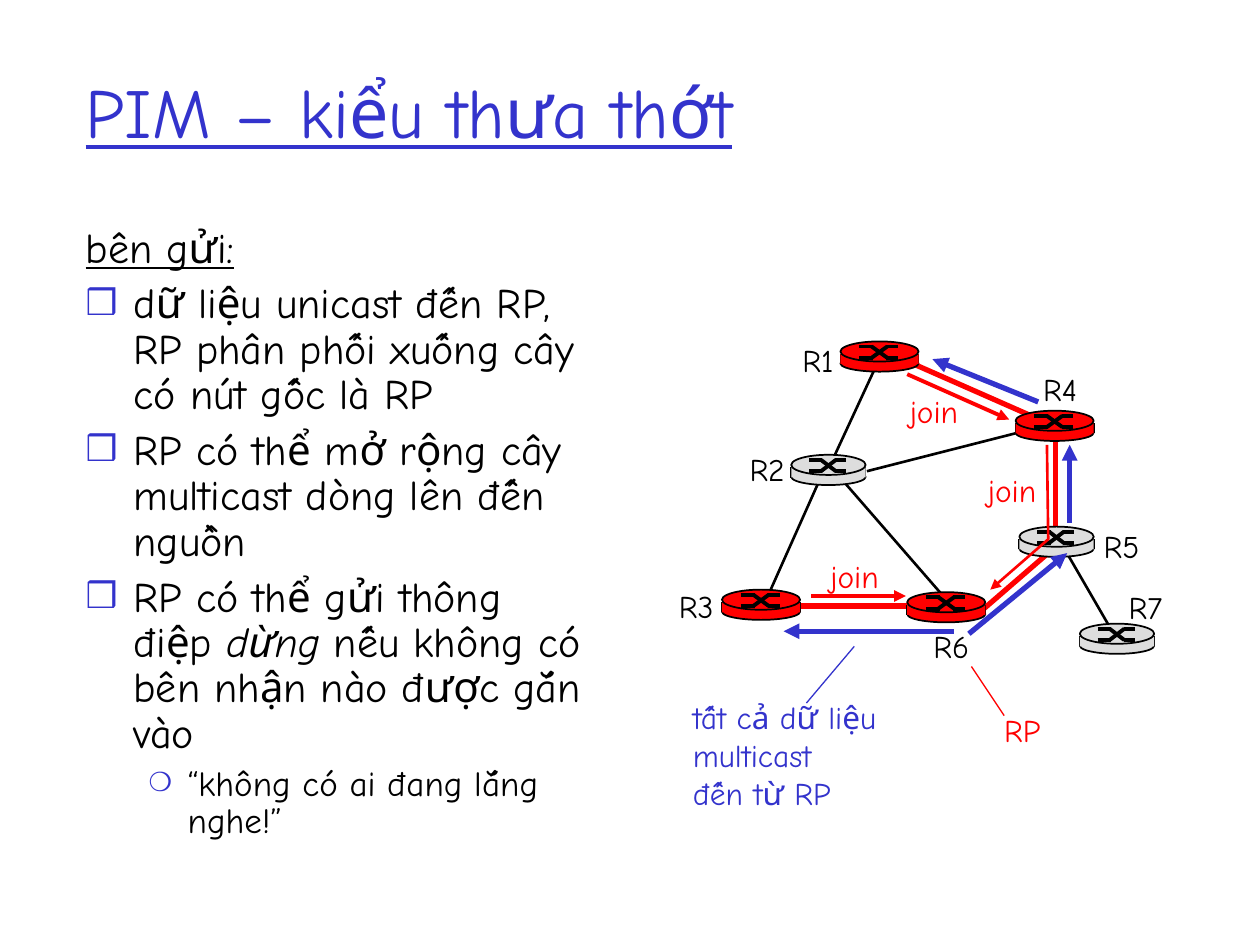
import lxml.etree
import pptx
import pptx.dml.color
import pptx.enum.shapes
import pptx.enum.text
import pptx.oxml.ns
import pptx.util

Inches = pptx.util.Inches
Pt = pptx.util.Pt
SHAPE = pptx.enum.shapes.MSO_SHAPE
FONT = "Comic Neue"
COLORS = {"blue": "3333CC", "red": "FF0000", "grey": "DDDDDD", "black": "000000"}

# Router: left, top, width, colour
ROUTERS = [
    (7.2, 4.7, 0.62, "red"),     # R6
    (8.06, 3.26, 0.62, "red"),   # R4
    (5.73, 4.68, 0.62, "red"),   # R3
    (8.09, 4.18, 0.59, "grey"),  # R5
    (6.28, 3.61, 0.59, "grey"),  # R2
    (6.67, 2.71, 0.62, "red"),   # R1
    (8.57, 4.95, 0.59, "grey"),  # R7
]
# Link: start, end, colour, width
LINKS = [
    ((8.41, 4.29), (8.85, 5.05), "black", 1.5),
    ((6.88, 3.74), (8.37, 3.36), "black", 1.5),
    ((6.59, 3.7), (7.52, 4.77), "black", 1.5),
    ((7.23, 2.88), (8.32, 3.36), "red", 3),
    ((7.81, 4.83), (8.4, 4.32), "red", 3),
    ((8.38, 3.47), (8.38, 4.26), "red", 3),
    ((6.23, 4.81), (7.36, 4.81), "red", 3),
    ((6.5, 3.82), (6.09, 4.74), "black", 1.5),
    ((6.96, 2.89), (6.58, 3.71), "black", 1.5),
]
ARROWS = [
    ((6.44, 4.73), (7.19, 4.73), "red", 2.25),
    ((7.2, 2.97), (8.01, 3.33), "red", 2.25),
    ((7.57, 5.01), (6.22, 5.01), "blue", 3),
    ((7.69, 5.03), (8.47, 4.39), "blue", 3),
    ((8.49, 4.15), (8.49, 3.53), "blue", 3),
    ((8.24, 3.19), (7.4, 2.85), "blue", 3),
]
CALLOUTS = [
    ((6.4, 5.58), (6.78, 5.13), "blue", 0.75),
    ((7.71, 5.29), (7.97, 5.68), "red", 0.75),
]
JOIN_PATH = [(8.31, 3.53), (8.32, 4.28), (7.86, 4.68)]  # R4 to R6 past R5
# Label: text, left, top, width, colour
LABELS = [
    ("R1", 6.27, 2.66, 0.45, "black"),
    ("R2", 5.85, 3.52, 0.48, "black"),
    ("R3", 5.29, 4.61, 0.47, "black"),
    ("R4", 8.18, 2.89, 0.47, "black"),
    ("R5", 8.66, 4.13, 0.48, "black"),
    ("R6", 7.31, 4.93, 0.48, "black"),
    ("R7", 8.86, 4.62, 0.46, "black"),
    ("join", 7.74, 3.69, 0.58, "red"),
    ("join", 7.12, 3.06, 0.58, "red"),
    ("join", 6.49, 4.37, 0.58, "red"),
    ("RP", 7.87, 5.59, 0.49, "red"),
]
SENDER_POINTS = [
    ["dữ liệu unicast đến RP, RP phân phối xuống cây có nút gốc là RP"],
    ["RP có thể mở rộng cây multicast dòng lên đến nguồn"],
    ["RP có thể gửi thông điệp ", "dừng", " nếu không có bên nhận nào được gắn vào"],
]


def rgb(color):
    return pptx.dml.color.RGBColor.from_string(COLORS[color])


def add_xml(parent, tag, **attributes):
    return lxml.etree.SubElement(parent, pptx.oxml.ns.qn(tag), attributes)


def style_runs(paragraph, size, color, underline=False):
    for run in paragraph.runs:
        run.font.name = FONT
        run.font.size = Pt(size)
        run.font.color.rgb = rgb(color)
        run.font.underline = underline


def style_line(line, color, width, arrow=False):
    line.color.rgb = rgb(color)
    line.width = Pt(width)
    if arrow:
        add_xml(line._get_or_add_ln(), "a:tailEnd", type="triangle")


def add_line(shapes, start, end, color, width, arrow=False):
    connector = shapes.add_connector(
        pptx.enum.shapes.MSO_CONNECTOR.STRAIGHT, *map(Inches, start + end))
    style_line(connector.line, color, width, arrow)
    add_xml(connector._element.spPr, "a:effectLst")


def add_part(shapes, kind, left, top, width, height, color, outlined=True):
    part = shapes.add_shape(kind, *map(Inches, (left, top, width, height)))
    part.shadow.inherit = False
    part.fill.solid()
    part.fill.fore_color.rgb = rgb(color)
    if outlined:
        style_line(part.line, "black", 1)
    else:
        part.line.fill.background()


def add_router(slide, left, top, width, color):
    router = slide.shapes.add_group_shape().shapes
    # Cylinder body and lid
    add_part(router, SHAPE.OVAL, left, top + 0.11, width, 0.13, color)
    for side in (left, left + width):
        add_line(router, (side, top + 0.1), (side, top + 0.18), "black", 1)
    add_part(router, SHAPE.RECTANGLE, left, top + 0.1, width, 0.08, color, outlined=False)
    add_part(router, SHAPE.OVAL, left, top, width, 0.16, color)
    # Crossing paths on the lid
    upper, lower = top + 0.04, top + 0.13
    for begin, finish in ((upper, lower), (lower, upper)):
        strokes = ((0.24, 0.42, begin, begin), (0.59, 0.74, finish, finish),
                   (0.4, 0.6, begin, finish))
        for x1, x2, y1, y2 in strokes:
            add_line(router, (left + x1 * width, y1), (left + x2 * width, y2), "black", 2.25)


def add_label(slide, text, left, top, width, color, height=0.4, wrap=False):
    label = slide.shapes.add_textbox(*map(Inches, (left, top, width, height)))
    frame = label.text_frame
    frame.word_wrap = wrap
    frame.auto_size = pptx.enum.text.MSO_AUTO_SIZE.SHAPE_TO_FIT_TEXT
    frame.margin_right = 0  # room for the whole word on one line
    frame.text = text
    for paragraph in frame.paragraphs:
        paragraph.alignment = pptx.enum.text.PP_ALIGN.LEFT
        style_runs(paragraph, 18, color)


def place(placeholder, left, top, width, height, anchor):
    placeholder.left, placeholder.top = Inches(left), Inches(top)
    placeholder.width, placeholder.height = Inches(width), Inches(height)
    frame = placeholder.text_frame
    frame.auto_size = pptx.enum.text.MSO_AUTO_SIZE.NONE
    frame.vertical_anchor = anchor
    return frame


def format_point(paragraph, size, before, margin, hanging, bullet=None, bullet_size=100):
    properties = paragraph._p.get_or_add_pPr()
    properties.set("marL", str(Inches(margin)))
    properties.set("indent", str(-Inches(hanging)))
    if bullet:
        add_xml(add_xml(properties, "a:buClr"), "a:srgbClr", val=COLORS["blue"])
        add_xml(properties, "a:buSzPct", val=str(bullet_size * 1000))
        add_xml(properties, "a:buChar", char=bullet)
    else:
        add_xml(properties, "a:buNone")
    paragraph.line_spacing = 0.9
    paragraph.space_before = Pt(before)
    style_runs(paragraph, size, "black", underline=not bullet)


def fill_title(title):
    frame = place(title, 0.58, 0.25, 8.5, 1.25, pptx.enum.text.MSO_ANCHOR.MIDDLE)
    frame.text = "PIM – kiểu thưa thớt"
    heading = frame.paragraphs[0]
    heading.alignment = pptx.enum.text.PP_ALIGN.LEFT
    style_runs(heading, 40, "blue", underline=True)


def fill_sender_list(body):
    frame = place(body, 0.58, 1.75, 4.17, 5.08, pptx.enum.text.MSO_ANCHOR.TOP)
    frame.text = "bên gửi:"
    format_point(frame.paragraphs[0], 24, 0, 0.38, 0.38)
    for pieces in SENDER_POINTS:
        point = frame.add_paragraph()
        for piece in pieces:
            run = point.add_run()
            run.text = piece
            run.font.italic = piece == "dừng"
        format_point(point, 24, 6, 0.38, 0.38, "❒", 85)
    remark = frame.add_paragraph()
    remark.text = "“không có ai đang lắng nghe!”"
    remark.level = 1
    format_point(remark, 20, 5, 0.81, 0.31, "❍", 75)


def add_join_path(slide):
    points = [tuple(map(Inches, point)) for point in JOIN_PATH]
    builder = slide.shapes.build_freeform(*points[0])
    builder.add_line_segments(points[1:], close=False)
    join_path = builder.convert_to_shape()
    join_path.shadow.inherit = False
    join_path.fill.background()
    style_line(join_path.line, "red", 1.5, arrow=True)


def main():
    deck = pptx.Presentation()
    deck.slide_width, deck.slide_height = Inches(10), Inches(7.5)
    slide = deck.slides.add_slide(deck.slide_layouts[1])
    fill_title(slide.shapes.title)
    fill_sender_list(slide.placeholders[1])
    # Network
    for link in LINKS:
        add_line(slide.shapes, *link)
    for router in ROUTERS:
        add_router(slide, *router)
    # Messages and data flow
    add_join_path(slide)
    for arrow in ARROWS:
        add_line(slide.shapes, *arrow, arrow=True)
    # Labels and callouts
    for label in LABELS:
        add_label(slide, *label)
    add_label(slide, "tất cả dữ liệu multicast\nđến từ RP", 5.4, 5.49, 1.84, "blue",
              height=1, wrap=True)
    for callout in CALLOUTS:
        add_line(slide.shapes, *callout)
    deck.save("out.pptx")


if __name__ == "__main__":
    main()
